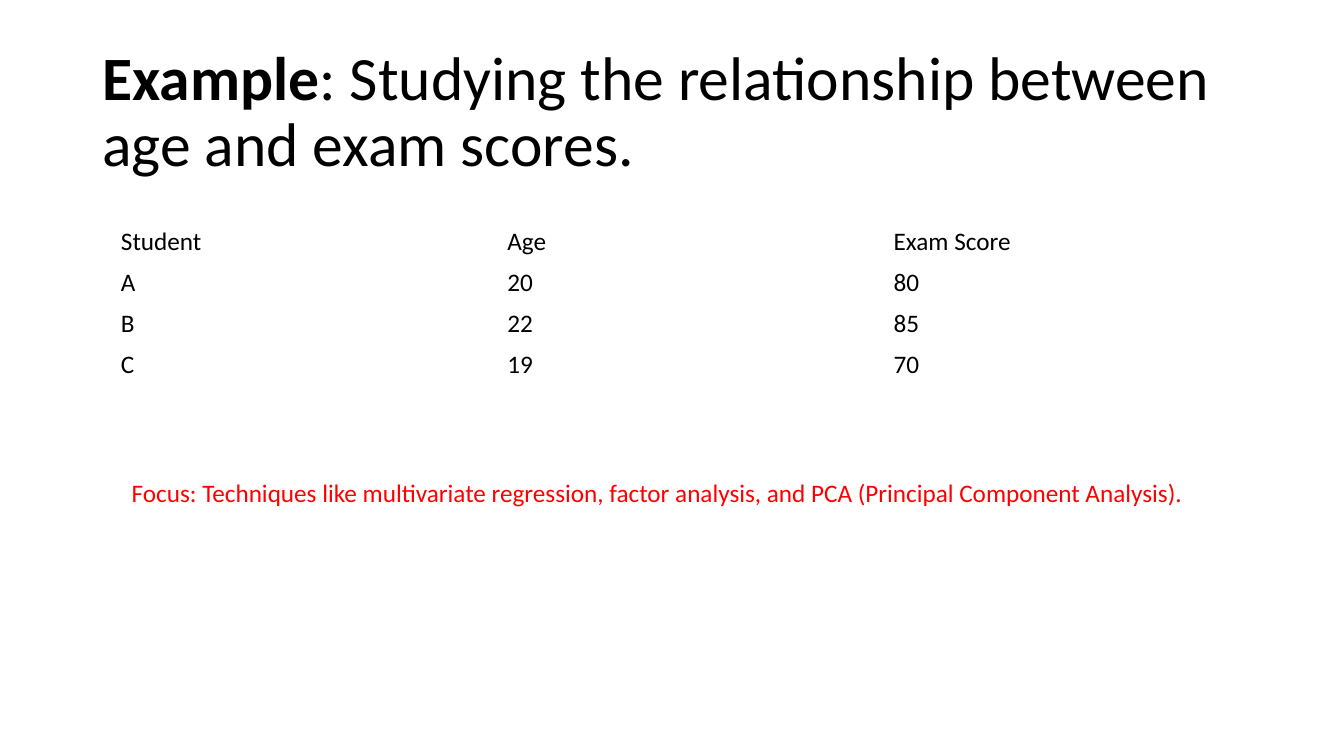
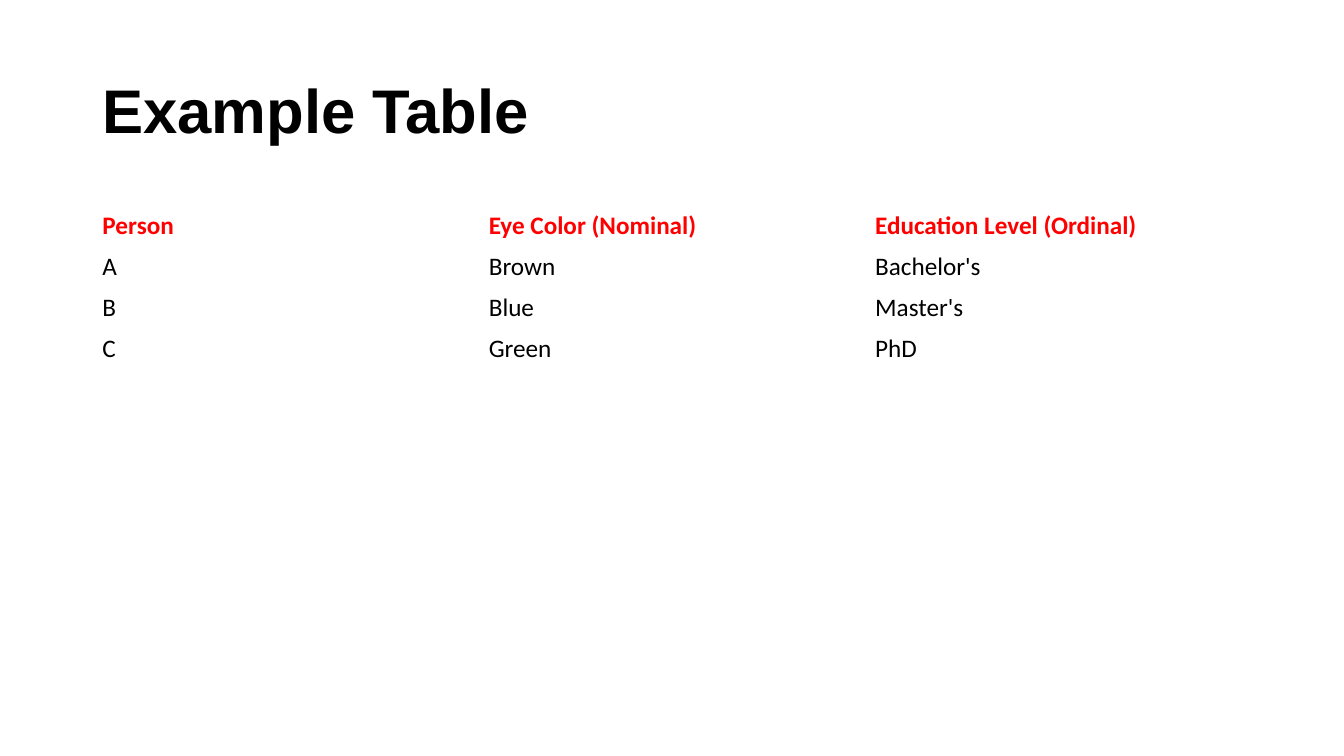
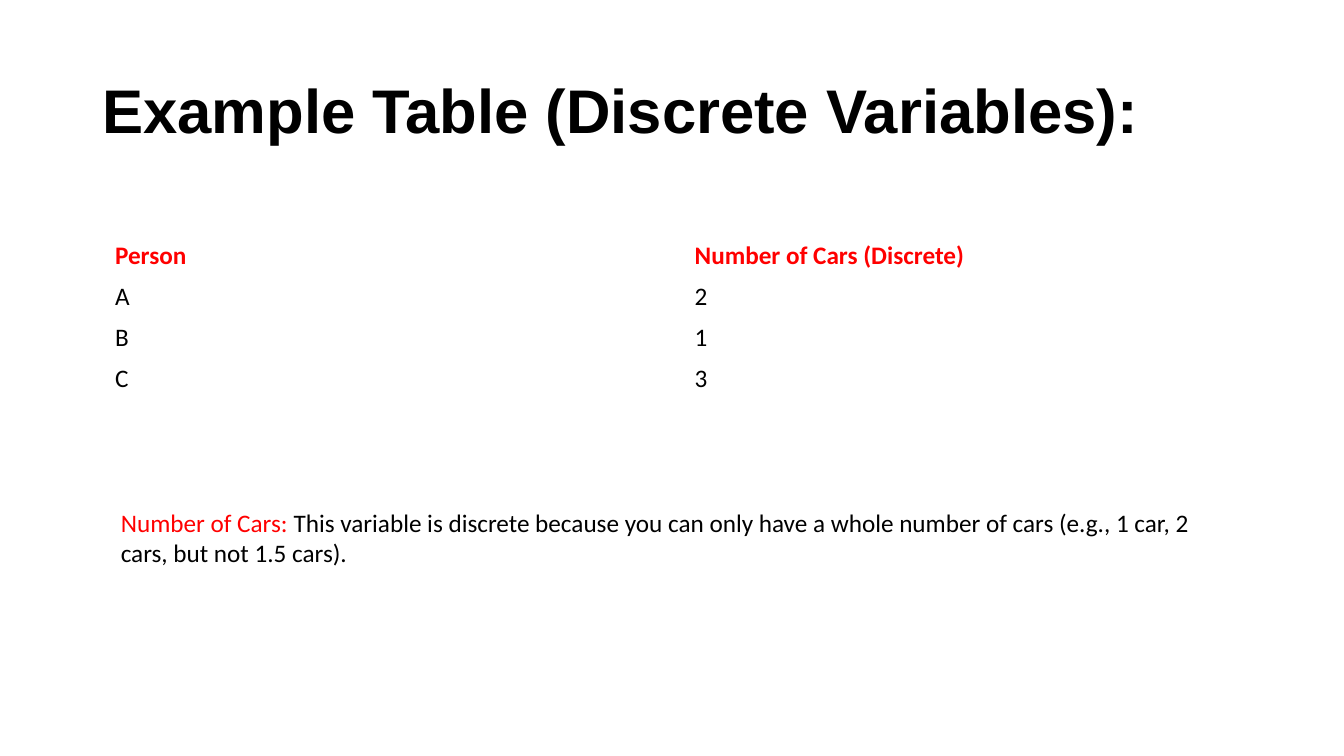
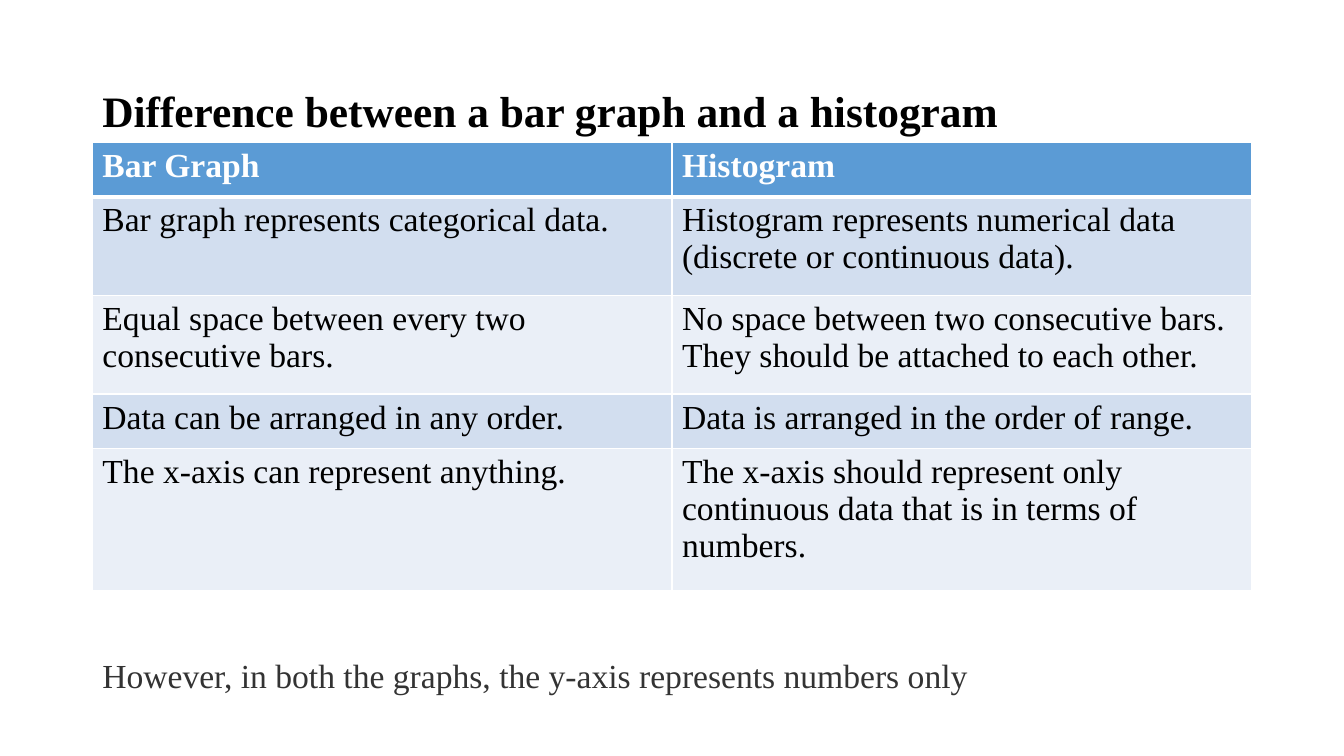
from lxml import etree
from pptx import Presentation
from pptx.dml.color import RGBColor
from pptx.enum import text
from pptx.oxml import ns
from pptx.util import Pt

SANS, HEAD, SERIF = "Calibri", "Arial", "Times New Roman"
BLACK, WHITE, RED, GREY = "000000", "FFFFFF", "FF0000", "333333"
HEADER_FILL, BAND_FILLS = "5B9BD5", ("D2DEEF", "EAEFF7")
LEFT, WIDTH = 66, 828
PLAIN_ROW = 29.2


def rgb(value):
    """Turn a hex string into a colour."""
    return RGBColor.from_string(value)


def style(font, name, size, color=BLACK, bold=False):
    """Set the look of a paragraph's font."""
    font.name, font.size, font.bold = name, Pt(size), bold
    font.color.rgb = rgb(color)


def add_text(slide, box, runs, name, size, color=BLACK, bold=False):
    """Add a wrapped text box; each run is (text, overrides) and return it."""
    tf = slide.shapes.add_textbox(*map(Pt, box)).text_frame
    tf.word_wrap = True
    p = tf.paragraphs[0]
    style(p.font, name, size, color, bold)
    for content, overrides in runs:
        r = p.add_run()
        r.text = content
        if "color" in overrides:
            r.font.color.rgb = rgb(overrides["color"])
        if "bold" in overrides:
            r.font.bold = overrides["bold"]
    return tf


def add_title(slide, runs, name=HEAD, size=44, bold=True):
    """Add the title shared by all slides."""
    tf = add_text(slide, (LEFT, 29, WIDTH, 104.4), runs, name, size, bold=bold)
    tf.vertical_anchor = text.MSO_ANCHOR.MIDDLE
    tf.paragraphs[0].line_spacing = 0.9


def add_borders(cell, bottom):
    """Draw white borders round a cell."""
    tcPr = cell._tc.get_or_add_tcPr()
    for side, width in (("L", 1), ("R", 1), ("T", 1), ("B", bottom)):
        ln = etree.SubElement(tcPr, ns.qn(f"a:ln{side}"), w=str(Pt(width)))
        fill = etree.SubElement(ln, ns.qn("a:solidFill"))
        etree.SubElement(fill, ns.qn("a:srgbClr"), val=WHITE)


def add_grid(slide, left, top, rows, heights):
    """Add a table with equal columns and return it."""
    cols = len(rows[0])
    table = slide.shapes.add_table(
        len(rows), cols, Pt(left), Pt(top), Pt(WIDTH), Pt(sum(heights))).table
    for column in table.columns:
        column.width = Pt(WIDTH / cols)
    for row, height, values in zip(table.rows, heights, rows):
        row.height = Pt(height)
        for cell, value in zip(row.cells, values):
            cell.text = value
    return table


def add_plain_table(slide, left, top, rows, color=RED, bold=True):
    """Add an unfilled table whose header has its own colour and weight."""
    table = add_grid(slide, left, top, rows, [PLAIN_ROW] * len(rows))
    table.first_row = table.horz_banding = False
    for i, row in enumerate(table.rows):
        look = (color, bold) if i == 0 else (BLACK, False)
        for cell in row.cells:
            cell.fill.background()
            cell.vertical_anchor = text.MSO_ANCHOR.MIDDLE
            style(cell.text_frame.paragraphs[0].font, SANS, 18, *look)


def add_banded_table(slide, left, top, rows, heights):
    """Add a table with a filled header and alternating bands."""
    table = add_grid(slide, left, top, rows, heights)
    for i, row in enumerate(table.rows):
        header = i == 0
        for cell in row.cells:
            add_borders(cell, 3 if header else 1)
            cell.fill.solid()
            cell.fill.fore_color.rgb = rgb(
                HEADER_FILL if header else BAND_FILLS[(i - 1) % 2])
            style(cell.text_frame.paragraphs[0].font, SERIF, 24,
                  WHITE if header else BLACK, header)


def add_scores(slide):
    """Build the slide on age and exam scores."""
    add_title(slide, [
        ("Example", {"bold": True}),
        (": Studying the relationship between age and exam scores.", {}),
    ], SANS, bold=False)
    add_plain_table(slide, 79.2, 158.4, [
        ("Student", "Age", "Exam Score"),
        ("A", "20", "80"),
        ("B", "22", "85"),
        ("C", "19", "70"),
    ], BLACK, False)
    add_text(slide, (87, 337.7, 785.5, 29), [
        ("Focus: Techniques like multivariate regression, factor analysis, "
         "and PCA (Principal Component Analysis).", {}),
    ], SANS, 18, RED)


def add_categories(slide):
    """Build the slide on nominal and ordinal variables."""
    add_title(slide, [("Example Table", {})])
    add_plain_table(slide, LEFT, 147, [
        ("Person", "Eye Color (Nominal)", "Education Level (Ordinal)"),
        ("A", "Brown", "Bachelor's"),
        ("B", "Blue", "Master's"),
        ("C", "Green", "PhD"),
    ])


def add_discrete(slide):
    """Build the slide on discrete variables."""
    add_title(slide, [("Example Table (Discrete Variables):", {})])
    add_plain_table(slide, 75, 168.5, [
        ("Person", "Number of Cars (Discrete)"),
        ("A", "2"),
        ("B", "1"),
        ("C", "3"),
    ])
    add_text(slide, (79.2, 358.5, 815, 51), [
        ("Number of Cars: ", {"color": RED}),
        ("This variable is discrete because you can only have a whole number "
         "of cars (e.g., 1 car, 2 cars, but not 1.5 cars).", {}),
    ], SANS, 18)


def add_comparison(slide):
    """Build the slide comparing bar graphs and histograms."""
    add_banded_table(slide, LEFT, 101.5, [
        ("Bar Graph", "Histogram"),
        ("Bar graph represents categorical data.",
         "Histogram represents numerical data (discrete or continuous data)."),
        ("Equal space between every two consecutive bars.",
         "No space between two consecutive bars. "
         "They should be attached to each other."),
        ("Data can be arranged in any order.",
         "Data is arranged in the order of range."),
        ("The x-axis can represent anything.",
         "The x-axis should represent only continuous data "
         "that is in terms of numbers."),
    ], (39, 70.5, 70.5, 39, 101.7))
    add_text(slide, (LEFT, 464.4, 782, 36), [
        ("However, in both the graphs, the y-axis represents numbers only", {}),
    ], SERIF, 24, GREY)
    add_title(slide, [("Difference between a bar graph and a histogram", {})],
              SERIF, 31)


def main():
    """Build and save the presentation."""
    prs = Presentation()
    prs.slide_width, prs.slide_height = Pt(960), Pt(540)
    for build in (add_scores, add_categories, add_discrete, add_comparison):
        build(prs.slides.add_slide(prs.slide_layouts[6]))
    prs.save("out.pptx")


main()
